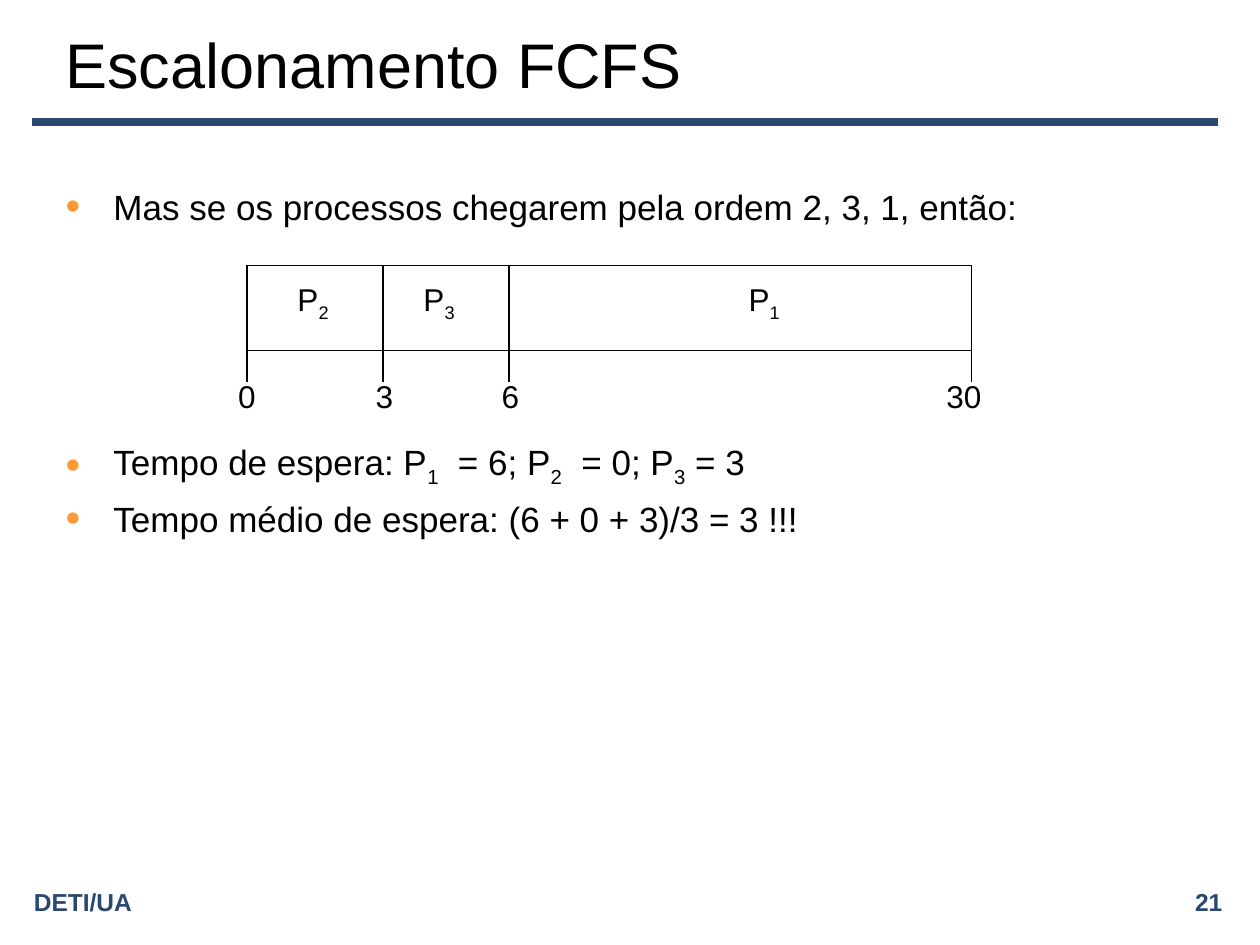
from dataclasses import dataclass

from lxml import etree
from pptx import Presentation
from pptx.dml.color import RGBColor
from pptx.enum.shapes import MSO_CONNECTOR, MSO_SHAPE
from pptx.enum.text import MSO_ANCHOR, MSO_AUTO_SIZE, PP_ALIGN
from pptx.oxml.ns import qn
from pptx.util import Inches, Pt

STRAIGHT = MSO_CONNECTOR.STRAIGHT
RECTANGLE = MSO_SHAPE.RECTANGLE
LEFT, CENTER, RIGHT = PP_ALIGN.LEFT, PP_ALIGN.CENTER, PP_ALIGN.RIGHT
TOP, MIDDLE = MSO_ANCHOR.TOP, MSO_ANCHOR.MIDDLE
NO_AUTOFIT = MSO_AUTO_SIZE.NONE


@dataclass(frozen=True)
class Theme:
    font: str = "Arial"
    black: str = "000000"
    white: str = "FFFFFF"
    navy: str = "2A476F"
    orange: str = "FF9933"
    title_size: int = 36
    body_size: int = 20
    label_size: int = 18
    footer_size: int = 14
    thin: float = 0.75
    thick: float = 4.5


THEME = Theme()

BAR_TOP, BAR_BOTTOM, TICK_BOTTOM = 2.11, 2.78, 3.03
BAR_LEFT, BAR_RIGHT = 1.96, 7.71
DIVIDERS = (3.04, 4.04)
PROCESS_LABELS = (("P_2", 2.48), ("P_3", 3.48), ("P_1", 6.06))
TIME_LABELS = (("0", 1.96), ("3", 3.05), ("6", 4.05), ("30", 7.65))
BULLETS = (
    ("Mas se os processos chegarem pela ordem 2, 3, 1, então:", 0),
    ("Tempo de espera: P_1  = 6; P_2  = 0; P_3 = 3", 122),
    ("Tempo médio de espera: (6 + 0 + 3)/3 = 3 !!!", 5),
)


def write_text(paragraph, text, size, color=THEME.black, bold=False,
               align=LEFT, space_before=0):
    """An underscore makes the next character a subscript."""
    paragraph.alignment = align
    paragraph.space_before = Pt(space_before)
    first, *marked = text.split("_")
    pieces = [(first, False)]
    for part in marked:
        pieces += [(part[0], True), (part[1:], False)]
    for piece, subscript in pieces:
        if not piece:
            continue
        run = paragraph.add_run()
        run.text = piece
        run.font.name = THEME.font
        run.font.size = Pt(size)
        run.font.bold = bold
        run.font.color.rgb = RGBColor.from_string(color)
        if subscript:
            run.font._element.set("baseline", "-25000")


def add_bullet(paragraph):
    properties = paragraph._p.get_or_add_pPr()
    properties.set("marL", str(Inches(0.38)))
    properties.set("indent", str(Inches(-0.38)))
    color = etree.SubElement(properties, qn("a:buClr"))
    etree.SubElement(color, qn("a:srgbClr"), val=THEME.orange)
    etree.SubElement(properties, qn("a:buSzPct"), val="120000")
    etree.SubElement(properties, qn("a:buFont"), typeface=THEME.font)
    etree.SubElement(properties, qn("a:buChar"), char="•")


def place(shape, left, top, width, height, anchor):
    shape.left, shape.top = Inches(left), Inches(top)
    shape.width, shape.height = Inches(width), Inches(height)
    shape.text_frame.auto_size = NO_AUTOFIT
    shape.text_frame.vertical_anchor = anchor


def add_label(shapes, text, left, top, width, height, size, wrap=False, **style):
    box = shapes.add_textbox(0, 0, 0, 0)
    place(box, left, top, width, height, MIDDLE)
    box.text_frame.word_wrap = wrap
    write_text(box.text_frame.paragraphs[0], text, size, **style)


def add_line(shapes, start, end, color=THEME.black, width=THEME.thin):
    line = shapes.add_connector(STRAIGHT, *map(Inches, start + end))
    line.line.color.rgb = RGBColor.from_string(color)
    line.line.width = Pt(width)
    etree.SubElement(line._element.spPr, qn("a:effectLst"))


def add_bar(shapes):
    bar = shapes.add_shape(RECTANGLE, Inches(BAR_LEFT), Inches(BAR_TOP),
                           Inches(BAR_RIGHT - BAR_LEFT), Inches(BAR_BOTTOM - BAR_TOP))
    bar.shadow.inherit = False
    bar.fill.solid()
    bar.fill.fore_color.rgb = RGBColor.from_string(THEME.white)
    bar.line.color.rgb = RGBColor.from_string(THEME.black)
    bar.line.width = Pt(THEME.thin)


def add_gantt(slide):
    shapes = slide.shapes.add_group_shape().shapes
    add_bar(shapes)
    for x in DIVIDERS:
        add_line(shapes, (x, BAR_TOP), (x, BAR_BOTTOM))
    for x in (BAR_LEFT, *DIVIDERS, BAR_RIGHT):
        add_line(shapes, (x, BAR_BOTTOM), (x, TICK_BOTTOM))
    for text, center in PROCESS_LABELS:
        add_label(shapes, text, center - 0.22, 2.17, 0.45, 0.44,
                  THEME.label_size, align=CENTER)
    for text, center in TIME_LABELS:
        width = 0.2 + 0.14 * len(text)
        add_label(shapes, text, center - width / 2, 2.94, width, 0.4,
                  THEME.label_size, align=CENTER)


def add_frame(slide):
    add_line(slide.shapes, (0.25, 0.97), (9.67, 0.97), THEME.navy, THEME.thick)
    for text, left, align in (("21", 5.92, RIGHT), ("DETI/UA", 0.17, LEFT)):
        add_label(slide.shapes, text, left, 7, 3.88, 0.31, THEME.footer_size,
                  wrap=True, color=THEME.navy, bold=True, align=align)


def fill_placeholders(slide):
    title, body = slide.placeholders
    place(title, 0.42, 0.17, 8.75, 0.67, MIDDLE)
    write_text(title.text_frame.paragraphs[0], "Escalonamento FCFS", THEME.title_size)
    place(body, 0.42, 1.42, 9, 4.95, TOP)
    for index, (text, space_before) in enumerate(BULLETS):
        frame = body.text_frame
        paragraph = frame.add_paragraph() if index else frame.paragraphs[0]
        add_bullet(paragraph)
        write_text(paragraph, text, THEME.body_size, space_before=space_before)


def main():
    presentation = Presentation()
    presentation.slide_width, presentation.slide_height = Inches(10), Inches(7.5)
    slide = presentation.slides.add_slide(presentation.slide_layouts[1])
    fill_placeholders(slide)
    add_frame(slide)
    add_gantt(slide)
    presentation.save("out.pptx")


if __name__ == "__main__":
    main()
